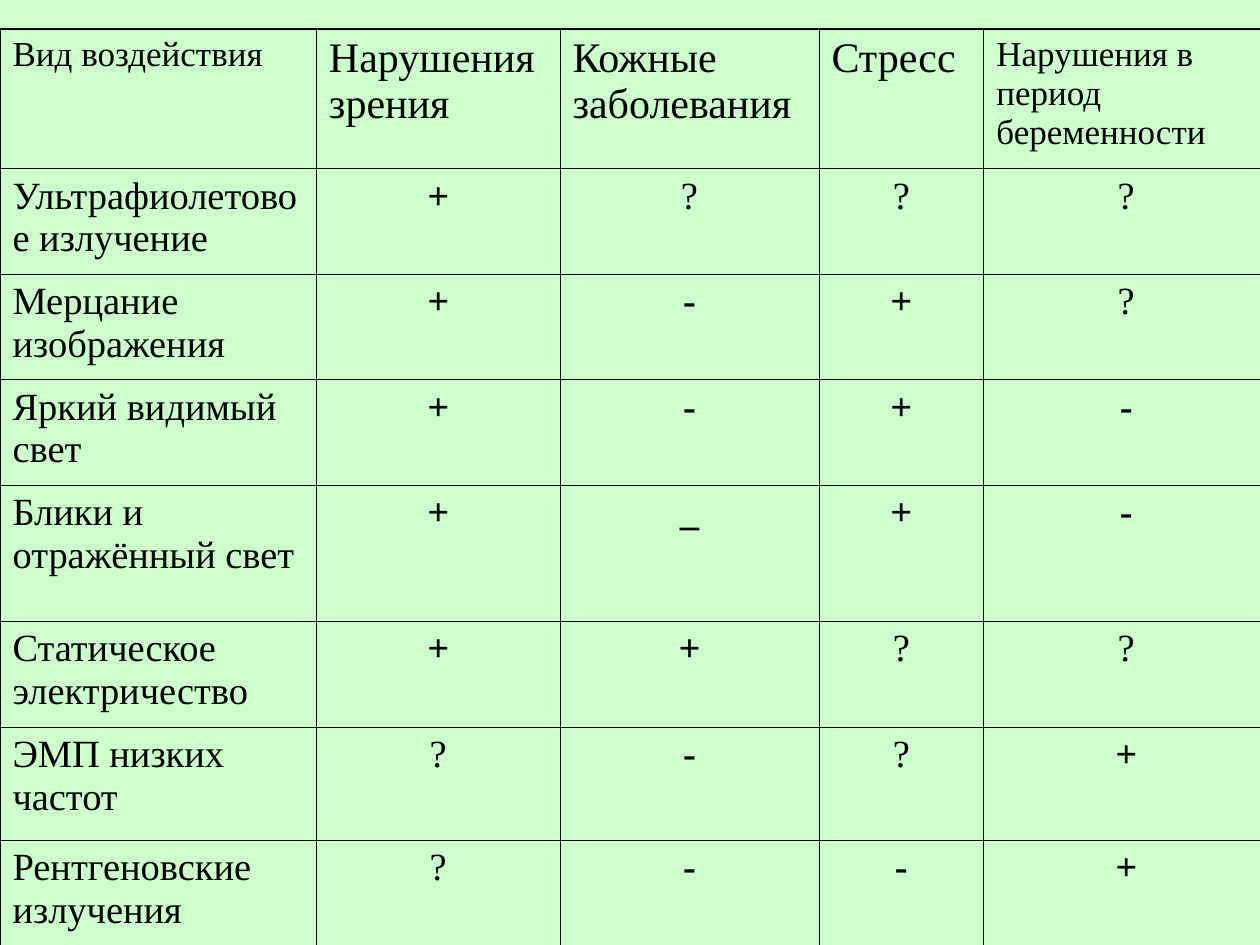
"""Build a slide with a table of screen hazards and their effects on health."""
from pptx import Presentation
from pptx.dml.color import RGBColor
from pptx.enum import text
from pptx.oxml import parse_xml
from pptx.oxml.ns import nsdecls
from pptx.util import Pt

BLACK = RGBColor(0x00, 0x00, 0x00)
MINT = RGBColor(0xCC, 0xFF, 0xCC)
FONT = "Times New Roman"
THIN, THICK = Pt(0.45), Pt(1.08)

HEADERS = [
    ("Вид воздействия", 20),
    ("Нарушения зрения", 24),
    ("Кожные\nзаболевания", 24),
    ("Стресс", 24),
    ("Нарушения в период беременности", 20),
]
HAZARDS = [
    ("Ультрафиолетовое излучение", "+???"),
    ("Мерцание\nизображения", "+-+?"),
    ("Яркий видимый свет", "+-+-"),
    ("Блики и отражённый свет", "+_+-"),
    ("Статическое\nэлектричество", "++??"),
    ("ЭМП низких частот", "?-?+"),
    ("Рентгеновские\nизлучения", "?--+"),
]
COL_WIDTHS = [180.8, 139.2, 148, 94.2, 162.8]
ROW_HEIGHTS = [80, 60.3, 60.3, 60.3, 77.8, 60.3, 64.6, 60.3]
TOP = 16.4


def write(cell, content, size=22, bold=False, align=text.PP_ALIGN.LEFT):
    tf = cell.text_frame
    tf.text = content
    for p in tf.paragraphs:
        p.alignment = align
        for r in p.runs:
            r.font.name, r.font.size, r.font.bold = FONT, Pt(size), bold
            r.font.color.rgb = BLACK


def set_borders(cell, widths):
    tc_pr = cell._tc.get_or_add_tcPr()
    for side, width in widths.items():
        tc_pr.append(parse_xml(
            f'<a:ln{side} {nsdecls("a")} w="{width}"><a:solidFill>'
            f'<a:srgbClr val="{BLACK}"/></a:solidFill></a:ln{side}>'))


def main():
    prs = Presentation()
    prs.slide_width, prs.slide_height = Pt(720), Pt(540)
    s = prs.slides.add_slide(prs.slide_layouts[6])
    s.background.fill.solid()
    s.background.fill.fore_color.rgb = MINT

    n_rows, n_cols = len(ROW_HEIGHTS), len(COL_WIDTHS)
    table = s.shapes.add_table(n_rows, n_cols, Pt(0), Pt(TOP),
                               Pt(sum(COL_WIDTHS)), Pt(sum(ROW_HEIGHTS))).table
    table.first_row = table.horz_banding = False
    for col, width in zip(table.columns, COL_WIDTHS):
        col.width = Pt(width)
    for row, height in zip(table.rows, ROW_HEIGHTS):
        row.height = Pt(height)

    for j, (header, size) in enumerate(HEADERS):
        write(table.cell(0, j), header, size=size)
    for i, (hazard, marks) in enumerate(HAZARDS, 1):
        write(table.cell(i, 0), hazard)
        for j, mark in enumerate(marks, 1):
            write(table.cell(i, j), mark, bold=mark != "?", align=text.PP_ALIGN.CENTER)

    for i in range(n_rows):
        for j in range(n_cols):
            cell = table.cell(i, j)
            outer = {"L": j == 0, "R": j == n_cols - 1, "T": i == 0, "B": i == n_rows - 1}
            set_borders(cell, {side: THICK if edge else THIN for side, edge in outer.items()})
            cell.fill.background()

    prs.save("out.pptx")


if __name__ == "__main__":
    main()
